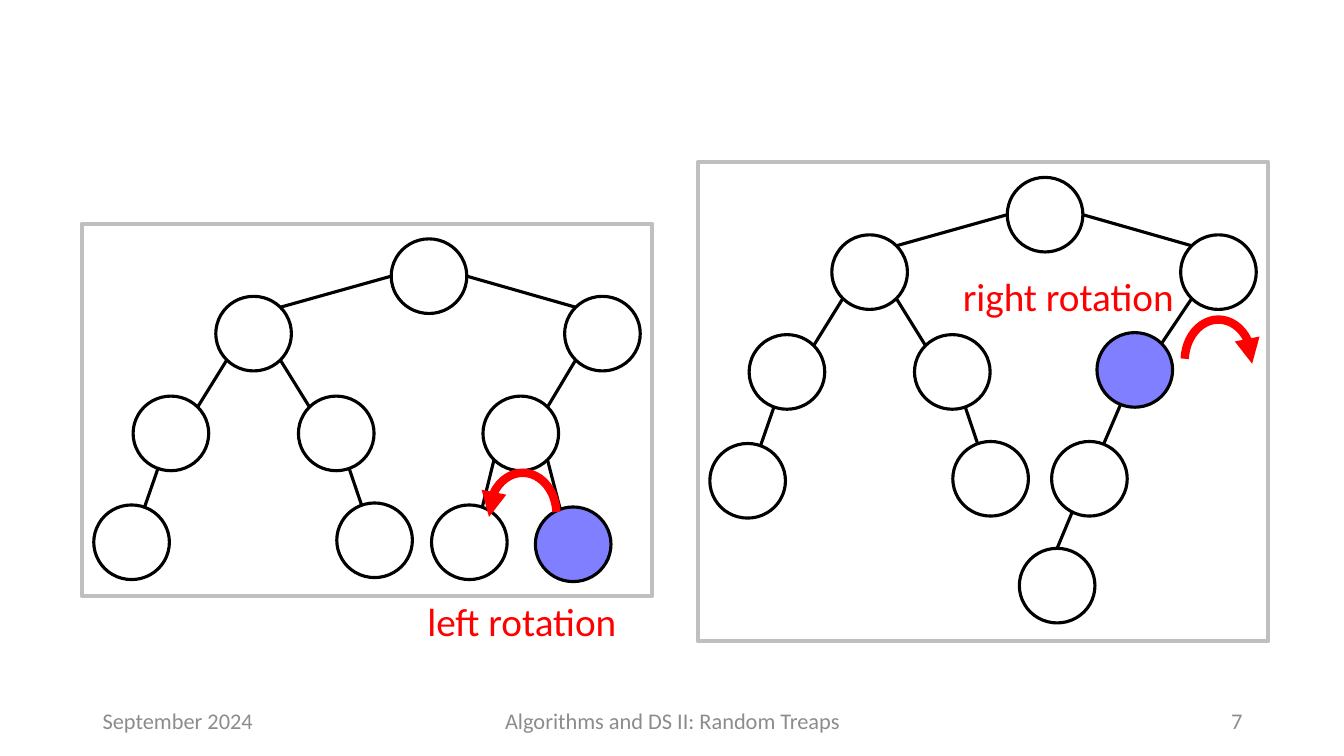
from math import cos, radians, sin

from lxml.etree import SubElement
from pptx import Presentation
from pptx.dml.color import RGBColor
from pptx.enum.shapes import MSO_CONNECTOR, MSO_SHAPE
from pptx.enum.text import MSO_ANCHOR, PP_ALIGN
from pptx.oxml.ns import qn
from pptx.util import Inches, Pt

BLACK = RGBColor(0x00, 0x00, 0x00)
BLUE = RGBColor(0x00, 0x00, 0xFF)
RED = RGBColor(0xFF, 0x00, 0x00)
FRAME = RGBColor(0xBF, 0xBF, 0xBF)
GRAY = RGBColor(0x8C, 0x8C, 0x8C)

WIDE, HIGH = 0.75, 0.74
NODES = {
    "root": (3.07, 0.15), "L": (1.33, 0.72), "R": (4.79, 0.72),
    "LL": (0.51, 1.71), "LR": (2.15, 1.71),
    "LLL": (0.12, 2.79), "LRR": (2.53, 2.77),
}
EDGES = [
    ("root", 180, "L", -45), ("root", 0, "R", -135),
    ("L", 135, "LL", -45), ("L", 45, "LR", -135),
    ("LL", 110, "LLL", -70), ("LR", 70, "LRR", -110),
]
LEFT = {
    "nodes": {"RL": (3.98, 1.71), "RLL": (3.47, 2.79), "RLR": (4.5, 2.81)},
    "edges": [("R", 135, "RL", -45), ("RL", 135, "RLL", -70), ("RL", 45, "RLR", -110)],
    "mark": "RLR",
}
RIGHT = {
    "nodes": {"RL": (3.96, 1.69), "RLL": (3.51, 2.77), "RLLL": (3.19, 3.83)},
    "edges": [("R", 135, "RL", -45), ("RL", 112, "RLL", -68), ("RLL", 117, "RLLL", -90)],
    "mark": "RL",
}


def add_form(shapes, kind, box, color, width):
    """Add an unfilled preset shape with a plain outline."""
    form = shapes.add_shape(kind, *map(Inches, box))
    form.shadow.inherit = False
    form.fill.background()
    form.line.color.rgb = color
    form.line.width = Pt(width)
    return form


def add_text(shapes, box, text, size, color, align, anchor):
    """Write one line of text in the given box."""
    frame = shapes.add_textbox(*map(Inches, box)).text_frame
    frame.word_wrap = True
    frame.vertical_anchor = anchor
    par = frame.paragraphs[0]
    par.text = text
    par.alignment = align
    for name, value in {"name": "Calibri", "size": Pt(size)}.items():
        setattr(par.font, name, value)
    par.font.color.rgb = color


def rim_point(box, spot, angle):
    """Find the point on a node's rim at a clockwise angle."""
    turn = radians(angle)
    return (Inches(box[0] + spot[0] + WIDE / 2 * (1 + cos(turn))),
            Inches(box[1] + spot[1] + HIGH / 2 * (1 + sin(turn))))


def add_tree(slide, box, part):
    """Draw a framed tree with its marked node in the given box."""
    shapes = slide.shapes.add_group_shape().shapes
    add_form(shapes, MSO_SHAPE.RECTANGLE, box, FRAME, 3)
    nodes = {**NODES, **part["nodes"]}
    for top, start, low, end in EDGES + part["edges"]:
        line = shapes.add_connector(MSO_CONNECTOR.STRAIGHT,
                                    *rim_point(box, nodes[top], start),
                                    *rim_point(box, nodes[low], end))
        line.line.color.rgb = BLACK
        line.line.width = Pt(2.25)
        SubElement(line.element.spPr, qn("a:effectLst"))
    for name, (x, y) in nodes.items():
        node = add_form(shapes, MSO_SHAPE.OVAL,
                        (box[0] + x, box[1] + y, WIDE, HIGH), BLACK, 2.25)
        if name == part["mark"]:
            node.fill.solid()
            node.fill.fore_color.rgb = BLUE
            tint = node.element.spPr.find(qn("a:solidFill"))[0]
            SubElement(tint, qn("a:alpha"), val="50000")


def add_turn(slide, box, label, place, flip):
    """Draw a curved arrow in the box and its label at a place beside it."""
    shapes = slide.shapes.add_group_shape().shapes
    x, y, width = place
    add_text(shapes, (box[0] + x, box[1] + y, width, 0.57), label, 28, RED,
             PP_ALIGN.CENTER, MSO_ANCHOR.TOP)
    arc = add_form(shapes, MSO_SHAPE.ARC, box, RED, 6)
    arc.adjustments[0] = 110.16
    arc.adjustments[1] = 2.9
    SubElement(arc.line._get_or_add_ln(), qn("a:tailEnd"), type="triangle")
    if flip:
        arc.element.spPr.find(qn("a:xfrm")).set("flipH", "1")


def add_foot(slide, box):
    """Place date, title and page number across the footer box."""
    x, y, width, height = box
    items = [
        ("September 2024", 0, 3, PP_ALIGN.LEFT),
        ("Algorithms and DS II: Random Treaps", (width - 4.5) / 2, 4.5, PP_ALIGN.CENTER),
        ("7", width - 3, 3, PP_ALIGN.RIGHT),
    ]
    for text, shift, span, align in items:
        add_text(slide.shapes, (x + shift, y, span, height), text, 16, GRAY,
                 align, MSO_ANCHOR.MIDDLE)


def main():
    """Build and save the slide."""
    deck = Presentation()
    deck.slide_width, deck.slide_height = Inches(13.33), Inches(7.5)
    slide = deck.slides.add_slide(deck.slide_layouts[6])
    add_foot(slide, (0.92, 6.95, 11.5, 0.4))
    add_tree(slide, (6.92, 1.61, 5.66, 4.75), RIGHT)
    add_tree(slide, (0.81, 2.22, 5.66, 3.69), LEFT)
    add_turn(slide, (11.75, 3.17, 0.67, 0.82), "right rotation", (-2.38, -0.52, 2.45), False)
    add_turn(slide, (4.85, 4.69, 0.67, 0.82), "left rotation", (-0.8, 1.19, 2.25), True)
    deck.save("out.pptx")


if __name__ == "__main__":
    main()
